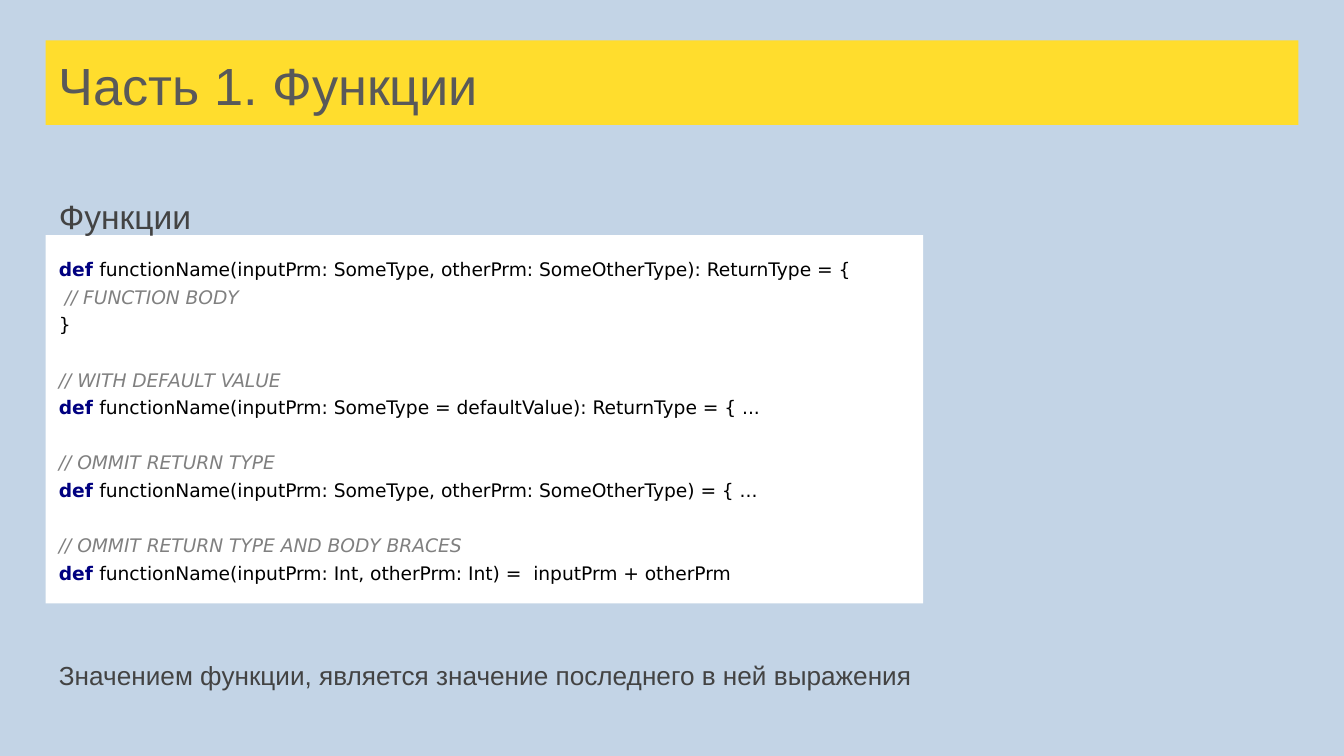
from pptx import Presentation
from pptx.dml.color import RGBColor
from pptx.enum.shapes import MSO_SHAPE as Shape
from pptx.enum.text import MSO_ANCHOR as Anchor, PP_ALIGN as Align
from pptx.util import Inches, Pt

COLORS = {
    "background": "C3D4E6",
    "banner": "FFDD2D",
    "title": "595959",
    "body": "434343",
    "panel": "FFFFFF",
    "code": "000000",
    "keyword": "000080",
    "comment": "808080",
}
SLIDE_WIDTH = 10
LEFT = 0.34
FULL_WIDTH = SLIDE_WIDTH - 2 * LEFT
CODE_BLOCKS = [
    [
        "def functionName(inputPrm: SomeType, otherPrm: SomeOtherType): ReturnType = {",
        " // FUNCTION BODY",
        "}",
    ],
    [
        "// WITH DEFAULT VALUE",
        "def functionName(inputPrm: SomeType = defaultValue): ReturnType = { ...",
    ],
    [
        "// OMMIT RETURN TYPE",
        "def functionName(inputPrm: SomeType, otherPrm: SomeOtherType) = { ...",
    ],
    [
        "// OMMIT RETURN TYPE AND BODY BRACES",
        "def functionName(inputPrm: Int, otherPrm: Int) =  inputPrm + otherPrm",
    ],
]


def color(name):
    return RGBColor.from_string(COLORS[name])


def add_run(paragraph, text, *, size, ink, font="Arial", bold=False, italic=False):
    run = paragraph.add_run()
    run.text = text
    run.font.name = font
    run.font.size = Pt(size)
    run.font.bold = bold
    run.font.italic = italic
    run.font.color.rgb = color(ink)


class SlideBuilder:
    line_spacing = 1.15
    space_after = Pt(1)
    block_gap = Pt(14.7)
    inset = Inches(0.1)
    code_style = {"size": 10, "font": "DejaVu Sans"}

    def __init__(self, slide):
        self.slide = slide
        slide.background.fill.solid()
        slide.background.fill.fore_color.rgb = color("background")

    def prepare_frame(self, shape, anchor):
        frame = shape.text_frame
        frame.word_wrap = True
        frame.vertical_anchor = anchor
        frame.margin_left = frame.margin_right = self.inset
        frame.margin_top = frame.margin_bottom = self.inset
        return frame

    def space_paragraph(self, paragraph):
        paragraph.alignment = Align.LEFT
        paragraph.line_spacing = self.line_spacing
        paragraph.space_after = self.space_after

    def panel(self, left, top, width, height, fill, anchor):
        shape = self.slide.shapes.add_shape(
            Shape.RECTANGLE, Inches(left), Inches(top), Inches(width), Inches(height)
        )
        shape.shadow.inherit = False
        shape.fill.solid()
        shape.fill.fore_color.rgb = color(fill)
        shape.line.fill.background()
        return self.prepare_frame(shape, anchor)

    def title(self, text, left, top, width, height):
        frame = self.panel(left, top, width, height, "banner", Anchor.TOP)
        paragraph = frame.paragraphs[0]
        paragraph.alignment = Align.LEFT
        add_run(paragraph, text, size=28, ink="title")

    def text(self, text, left, top, width, height, size):
        shape = self.slide.shapes.add_textbox(
            Inches(left), Inches(top), Inches(width), Inches(height)
        )
        paragraph = self.prepare_frame(shape, Anchor.TOP).paragraphs[0]
        self.space_paragraph(paragraph)
        add_run(paragraph, text, size=size, ink="body")

    def code_line(self, paragraph, line):
        self.space_paragraph(paragraph)
        if line.lstrip().startswith("//"):
            add_run(paragraph, line, ink="comment", italic=True, **self.code_style)
            return
        if line.startswith("def "):
            add_run(paragraph, "def ", ink="keyword", bold=True, **self.code_style)
            line = line.removeprefix("def ")
        add_run(paragraph, line, ink="code", **self.code_style)

    def code(self, blocks, left, top, width, height):
        frame = self.panel(left, top, width, height, "panel", Anchor.MIDDLE)
        for block_index, block in enumerate(blocks):
            for line_index, line in enumerate(block):
                first = block_index == line_index == 0
                paragraph = frame.paragraphs[0] if first else frame.add_paragraph()
                if block_index and line_index == 0:
                    paragraph.space_before = self.block_gap
                self.code_line(paragraph, line)


def main():
    presentation = Presentation()
    presentation.slide_width = Inches(SLIDE_WIDTH)
    presentation.slide_height = Inches(SLIDE_WIDTH * 9 / 16)
    builder = SlideBuilder(presentation.slides.add_slide(presentation.slide_layouts[6]))
    builder.title("Часть 1. Функции", LEFT, 0.3, FULL_WIDTH, 0.63)
    builder.code(CODE_BLOCKS, LEFT, 1.75, 6.53, 2.74)
    builder.text("Функции", LEFT, 1.31, 4.07, 0.42, size=18)
    builder.text(
        "Значением функции, является значение последнего в ней выражения",
        LEFT, 4.77, FULL_WIDTH, 0.42, size=14,
    )
    presentation.save("out.pptx")


if __name__ == "__main__":
    main()
